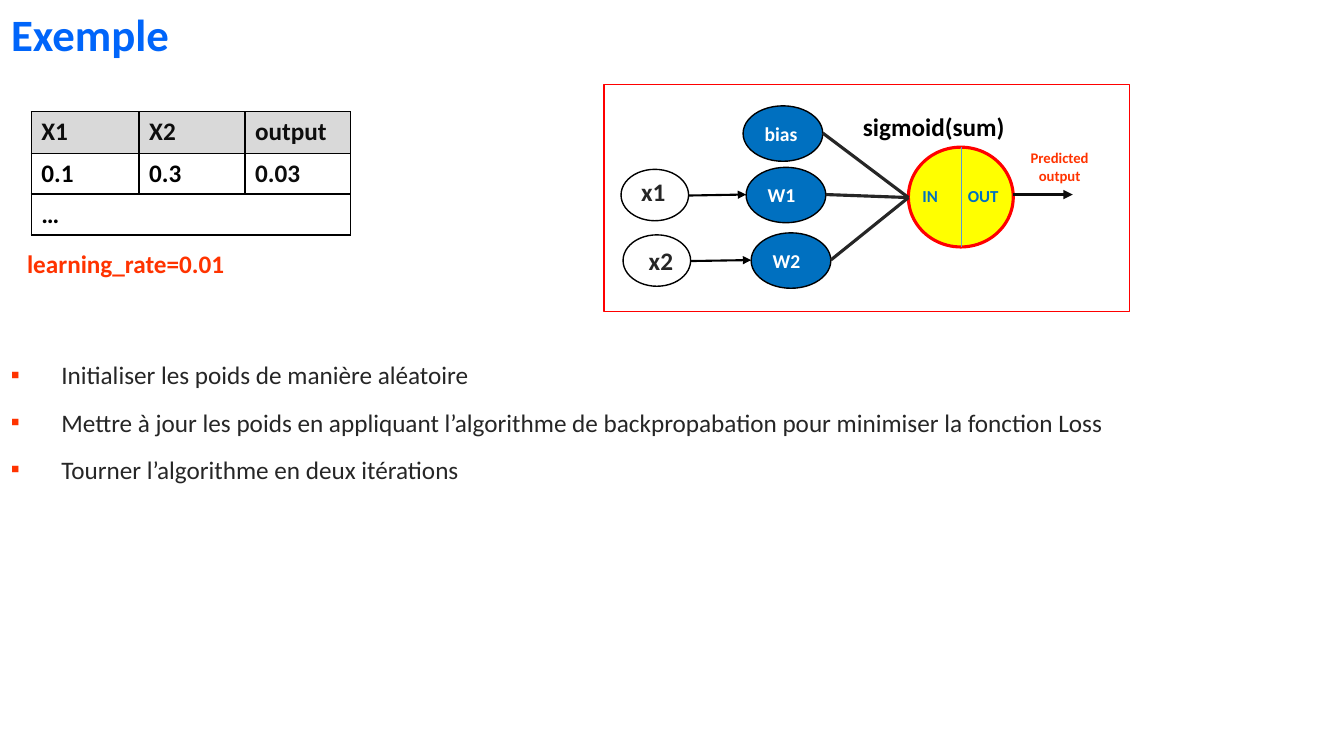
from lxml.etree import SubElement
from pptx import Presentation
from pptx.dml.color import RGBColor
from pptx.enum.shapes import MSO_CONNECTOR, MSO_SHAPE as SHAPE
from pptx.enum.text import MSO_ANCHOR as ANCHOR, MSO_AUTO_SIZE as AUTO, PP_ALIGN as ALIGN
from pptx.oxml.ns import qn
from pptx.util import Pt

PX = 9144
FONT = "Calibri"
BLACK = RGBColor(0, 0, 0)
INK = RGBColor(0x0D, 0x0D, 0x0D)
GREY = RGBColor(0x26, 0x26, 0x26)
SILVER = RGBColor(0xD9, 0xD9, 0xD9)
WHITE = RGBColor(0xFF, 0xFF, 0xFF)
TITLE_BLUE = RGBColor(0x00, 0x65, 0xFA)
BLUE = RGBColor(0x00, 0x70, 0xC0)
PALE_BLUE = RGBColor(0x5B, 0x9B, 0xD5)
YELLOW = RGBColor(0xFF, 0xFF, 0x00)
RED = RGBColor(0xFF, 0x00, 0x00)
ORANGE = RGBColor(0xFF, 0x33, 0x00)

TITLE = "Exemple"
ROWS = [["X1", "X2", "output"], ["0.1", "0.3", "0.03"], ["…", "", ""]]
COLUMNS, ROW_HEIGHTS = [107, 105, 105], [41, 40, 40]
STEPS = [
    "Initialiser les poids de manière aléatoire",
    "Mettre à jour les poids en appliquant l’algorithme de backpropabation pour minimiser la fonction Loss",
    "Tourner l’algorithme en deux itérations",
]
INPUTS = [(616, 168), (618, 233)]
WEIGHTS = [("bias", 737, 105), ("W1", 740, 166), ("W2", 745, 231)]
INPUT_SIZE, WEIGHT_SIZE = (67, 51), (79, 55)
NEURON = (901, 146, 104, 99)
FRAME = (599, 84, 521, 225)
LABELS = [
    ("OUT", (950, 179, 59, 30), 12, BLUE, ALIGN.LEFT, True),
    ("IN", (905, 179, 50, 30), 12, BLUE, ALIGN.LEFT, True),
    ("sigmoid(sum)", (846, 106, 219, 40), 18, BLACK, ALIGN.LEFT, True),
    ("x1", (626, 170, 45, 40), 18, GREY, ALIGN.LEFT, False),
    ("x2", (633, 238, 45, 40), 18, GREY, ALIGN.CENTER, False),
    ("Predicted\noutput", (1006, 143, 90, 45), 10.5, ORANGE, ALIGN.CENTER, True),
    ("learning_rate=0.01", (17, 241, 331, 40), 18, ORANGE, ALIGN.LEFT, True),
]


def emu(*lengths):
    return [n * PX for n in lengths]


def style(tf, size, color, bold=True, align=ALIGN.LEFT):
    for p in tf.paragraphs:
        p.alignment = align
        for r in p.runs:
            r.font.name, r.font.size, r.font.bold = FONT, Pt(size), bold
            r.font.color.rgb = color


def add_text(s, text, box, size, color, align=ALIGN.LEFT, wrap=True, bold=True):
    tf = s.shapes.add_textbox(*emu(*box)).text_frame
    tf.word_wrap = wrap
    tf.auto_size = AUTO.SHAPE_TO_FIT_TEXT
    tf.text = text
    style(tf, size, color, bold, align)
    return tf


def add_outline(s, kind, box, line, width=1, fill=None, text=""):
    sp = s.shapes.add_shape(kind, *emu(*box))
    sp.shadow.inherit = False
    if fill is None:
        sp.fill.background()
    else:
        sp.fill.solid()
        sp.fill.fore_color.rgb = fill
    sp.line.color.rgb, sp.line.width = line, Pt(width)
    if text:
        sp.text_frame.text = text
        sp.text_frame.vertical_anchor = ANCHOR.MIDDLE
        style(sp.text_frame, 14, WHITE)


def add_line(s, start, end, color, width, arrow=False):
    c = s.shapes.add_connector(MSO_CONNECTOR.STRAIGHT, *emu(*start, *end))
    c.line.color.rgb, c.line.width = color, Pt(width)
    if arrow:
        SubElement(c.line._get_or_add_ln(), qn("a:tailEnd"), type="triangle")
    SubElement(c._element.spPr, qn("a:effectLst"))


def add_borders(cell):
    tcPr = cell._tc.get_or_add_tcPr()
    for side in ("lnL", "lnR", "lnT", "lnB"):
        ln = SubElement(tcPr, qn("a:" + side), w=str(Pt(1)))
        SubElement(SubElement(ln, qn("a:solidFill")), qn("a:srgbClr"), val=str(BLACK))


def add_data(s):
    box = emu(31, 111, sum(COLUMNS), sum(ROW_HEIGHTS))
    table = s.shapes.add_table(len(ROWS), len(COLUMNS), *box).table
    table.first_row = table.horz_banding = False
    for column, width in zip(table.columns, COLUMNS):
        column.width = width * PX
    for i, (row, height) in enumerate(zip(ROWS, ROW_HEIGHTS)):
        table.rows[i].height = height * PX
        for j, text in enumerate(row):
            cell = table.cell(i, j)
            add_borders(cell)
            if i == 0:
                cell.fill.solid()
                cell.fill.fore_color.rgb = SILVER
            else:
                cell.fill.background()
            cell.text = text
            style(cell.text_frame, 18, INK if i == 0 or j == 2 else BLACK)
    table.cell(2, 0).merge(table.cell(2, 2))


def add_network(s):
    x, y, w, h = NEURON
    middle = x + w // 2
    for left, top in INPUTS:
        add_outline(s, SHAPE.OVAL, (left, top, *INPUT_SIZE), BLACK)
    for name, left, top in WEIGHTS:
        add_outline(s, SHAPE.OVAL, (left, top, *WEIGHT_SIZE), BLACK, fill=BLUE, text=name)
    add_outline(s, SHAPE.OVAL, NEURON, RED, 2.25, YELLOW)
    add_line(s, (middle, y), (middle, y + h), PALE_BLUE, 0.5)
    add_line(s, (x + w, 193), (x + w + 59, 193), INK, 2.25, True)
    for (left, top), (name, end, weight_top) in zip(INPUTS, WEIGHTS[1:]):
        start = (left + INPUT_SIZE[0], top + INPUT_SIZE[1] // 2 + 1)
        add_line(s, start, (end, weight_top + WEIGHT_SIZE[1] // 2), BLACK, 1.5, True)
    for name, left, top in WEIGHTS:
        start = (left + WEIGHT_SIZE[0], top + WEIGHT_SIZE[1] // 2)
        add_line(s, start, (x, y + h // 2 + 1), GREY, 2.25)
    add_outline(s, SHAPE.RECTANGLE, FRAME, RED)


def add_steps(s):
    tf = add_text(s, "\n".join(STEPS), (1, 352, 1119, 135), 18, GREY, bold=False)
    for p in tf.paragraphs:
        p.space_after = Pt(12)
        pPr = p._p.get_or_add_pPr()
        pPr.set("marL", str(50 * PX))
        pPr.set("indent", str(-50 * PX))
        SubElement(SubElement(pPr, qn("a:buClr")), qn("a:srgbClr"), val=str(ORANGE))
        SubElement(pPr, qn("a:buFont"), typeface=FONT)
        SubElement(pPr, qn("a:buChar"), char="▪")


def main():
    prs = Presentation()
    prs.slide_width, prs.slide_height = emu(1333, 750)
    s = prs.slides.add_slide(prs.slide_layouts[5])
    title = s.shapes.title
    title.left, title.top, title.width, title.height = emu(1, 2, 1332, 64)
    tf = title.text_frame
    tf.text = TITLE
    tf.vertical_anchor = ANCHOR.TOP
    tf.auto_size = AUTO.NONE
    style(tf, 32, TITLE_BLUE)
    add_data(s)
    add_network(s)
    for label in LABELS:
        add_text(s, *label)
    add_steps(s)
    prs.save("out.pptx")


if __name__ == "__main__":
    main()
